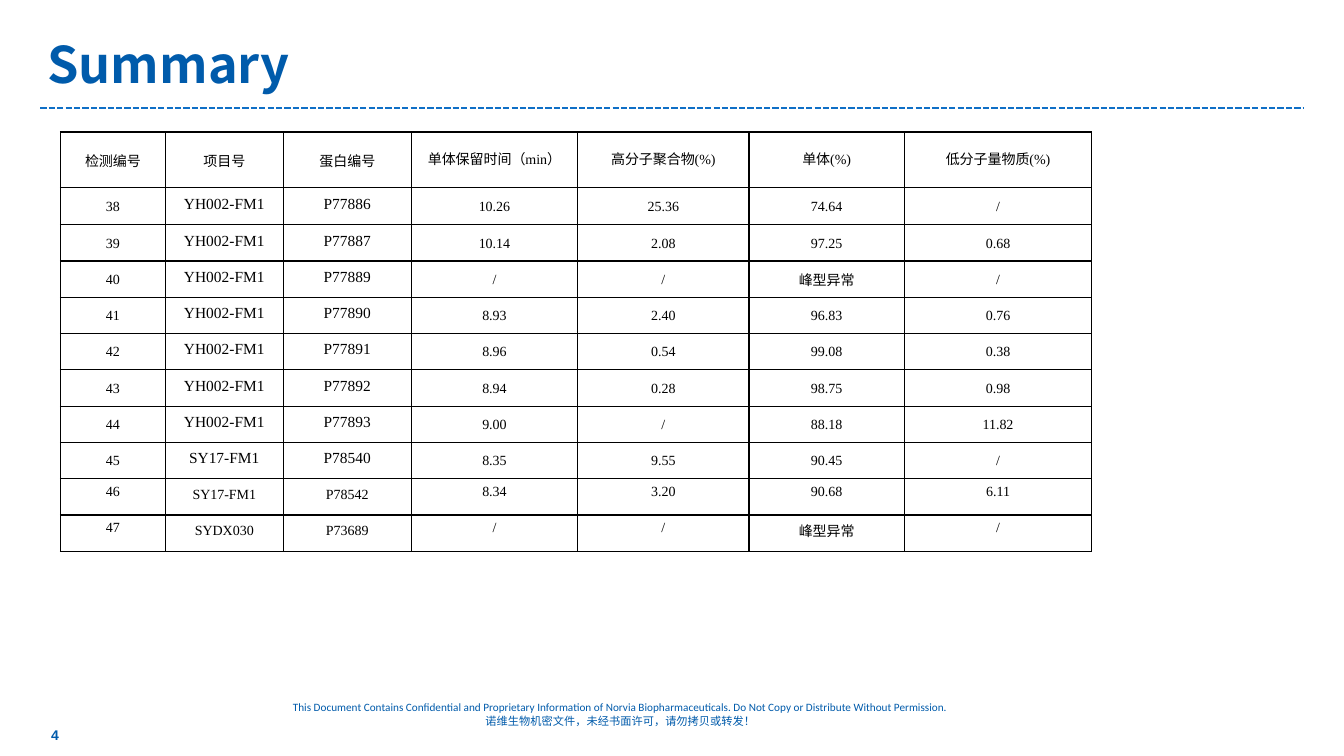
"""Build the summary slide with its table of monomer purity results."""
from lxml import etree
from pptx import Presentation
from pptx import util as u
from pptx.dml import color
from pptx.enum import dml, shapes, text
from pptx.oxml import ns

BLUE, BLACK = "005BAB", "000000"
CJK, SERIF = "Noto Sans CJK SC", "Times New Roman"


def rgb(value):
    return color.RGBColor.from_string(value)


def add_run(p, content, size, font, hue, bold=False):
    r = p.add_run()
    r.text = content
    r.font.size, r.font.name, r.font.bold = u.Pt(size), font, bold
    r.font.color.rgb = rgb(hue)
    etree.SubElement(r.font._element, ns.qn("a:ea"), typeface=CJK)


prs = Presentation()
prs.slide_width, prs.slide_height = u.Inches(13.33), u.Inches(7.5)
s = prs.slides.add_slide(prs.slide_layouts[6])

rule = s.shapes.add_connector(shapes.MSO_CONNECTOR.STRAIGHT, u.Inches(0.4), u.Inches(1.07),
                              u.Inches(12.93), u.Inches(1.07))
rule.line.color.rgb = rgb("0F6FC6")
rule.line.width = u.Pt(1.5)
rule.line.dash_style = dml.MSO_LINE.SQUARE_DOT
etree.SubElement(rule._element.spPr, ns.qn("a:effectLst"))

left, center = text.PP_ALIGN.LEFT, text.PP_ALIGN.CENTER
top, middle = text.MSO_ANCHOR.TOP, text.MSO_ANCHOR.MIDDLE
notice = [
    ("This Document Contains Confidential and Proprietary Information of Norvia Biopharmaceuticals. "
     "Do Not Copy or Distribute Without Permission.", "Calibri"),
    ("诺维生物机密文件，未经书面许可，请勿拷贝或转发！", CJK),
]
boxes = [
    ((1.71, 6.9, 8.89, 0.45), notice, 8, False, center, top),
    ((0.37, 0.13, 9.91, 0.99), [("Summary", CJK)], 36, True, left, middle),
    ((0.41, 7.09, 1.26, 0.4), [("4", "Arial")], 10, True, left, middle),
]
for place, lines, size, bold, align, anchor in boxes:
    tf = s.shapes.add_textbox(*map(u.Inches, place)).text_frame
    tf.word_wrap, tf.vertical_anchor = True, anchor
    for i, (content, font) in enumerate(lines):
        p = tf.add_paragraph() if i else tf.paragraphs[0]
        p.alignment = align
        add_run(p, content, size, font, BLUE, bold)

rows = [
    ("检测编号", "项目号", "蛋白编号", "单体保留时间（min）", "高分子聚合物(%)", "单体(%)", "低分子量物质(%)"),
    ("38", "YH002-FM1", "P77886", "10.26", "25.36", "74.64", "/"),
    ("39", "YH002-FM1", "P77887", "10.14", "2.08", "97.25", "0.68"),
    ("40", "YH002-FM1", "P77889", "/", "/", "峰型异常", "/"),
    ("41", "YH002-FM1", "P77890", "8.93", "2.40", "96.83", "0.76"),
    ("42", "YH002-FM1", "P77891", "8.96", "0.54", "99.08", "0.38"),
    ("43", "YH002-FM1", "P77892", "8.94", "0.28", "98.75", "0.98"),
    ("44", "YH002-FM1", "P77893", "9.00", "/", "88.18", "11.82"),
    ("45", "SY17-FM1", "P78540", "8.35", "9.55", "90.45", "/"),
    ("46", "SY17-FM1", "P78542", "8.34", "3.20", "90.68", "6.11"),
    ("47", "SYDX030", "P73689", "/", "/", "峰型异常", "/"),
]
widths = [1.04, 1.17, 1.27, 1.65, 1.7, 1.54, 1.86]
heights = [0.55, 0.37] + [0.36] * 9
table = s.shapes.add_table(len(rows), len(widths), u.Inches(0.6), u.Inches(1.31),
                           u.Inches(sum(widths)), u.Inches(sum(heights))).table
table.first_row = table.horz_banding = False
for column, width in zip(table.columns, widths):
    column.width = u.Inches(width)
for row, height in zip(table.rows, heights):
    row.height = u.Inches(height)

for i, values in enumerate(rows):
    for j, value in enumerate(values):
        cell = table.cell(i, j)
        code = i > 0 and j in (1, 2)
        loose = i > 8 and not code
        measured_header = i == 0 and j > 2
        if loose:
            margins = 0.1, 0.05, 0.1, 0.05
        elif measured_header:
            margins = 0.07, 0, 0.07, 0
        else:
            margins = 0.01, 0.01, 0.01, 0.05 if code else 0
        cell.margin_left, cell.margin_top, cell.margin_right, cell.margin_bottom = map(u.Inches, margins)
        cell.vertical_anchor = top if loose else middle
        p = cell.text_frame.paragraphs[0]
        p.alignment = center
        if measured_header:
            p.line_spacing = u.Pt(12)
        add_run(p, value, 11 if code and i < 9 else 10, SERIF, BLACK)
        tcPr = cell._tc.get_or_add_tcPr()
        for side in ("lnL", "lnR", "lnT", "lnB"):
            ln = etree.SubElement(tcPr, ns.qn("a:" + side), w=str(u.Pt(1)))
            fill = etree.SubElement(ln, ns.qn("a:solidFill"))
            etree.SubElement(fill, ns.qn("a:srgbClr"), val=BLACK)
        cell.fill.background()

prs.save("out.pptx")
